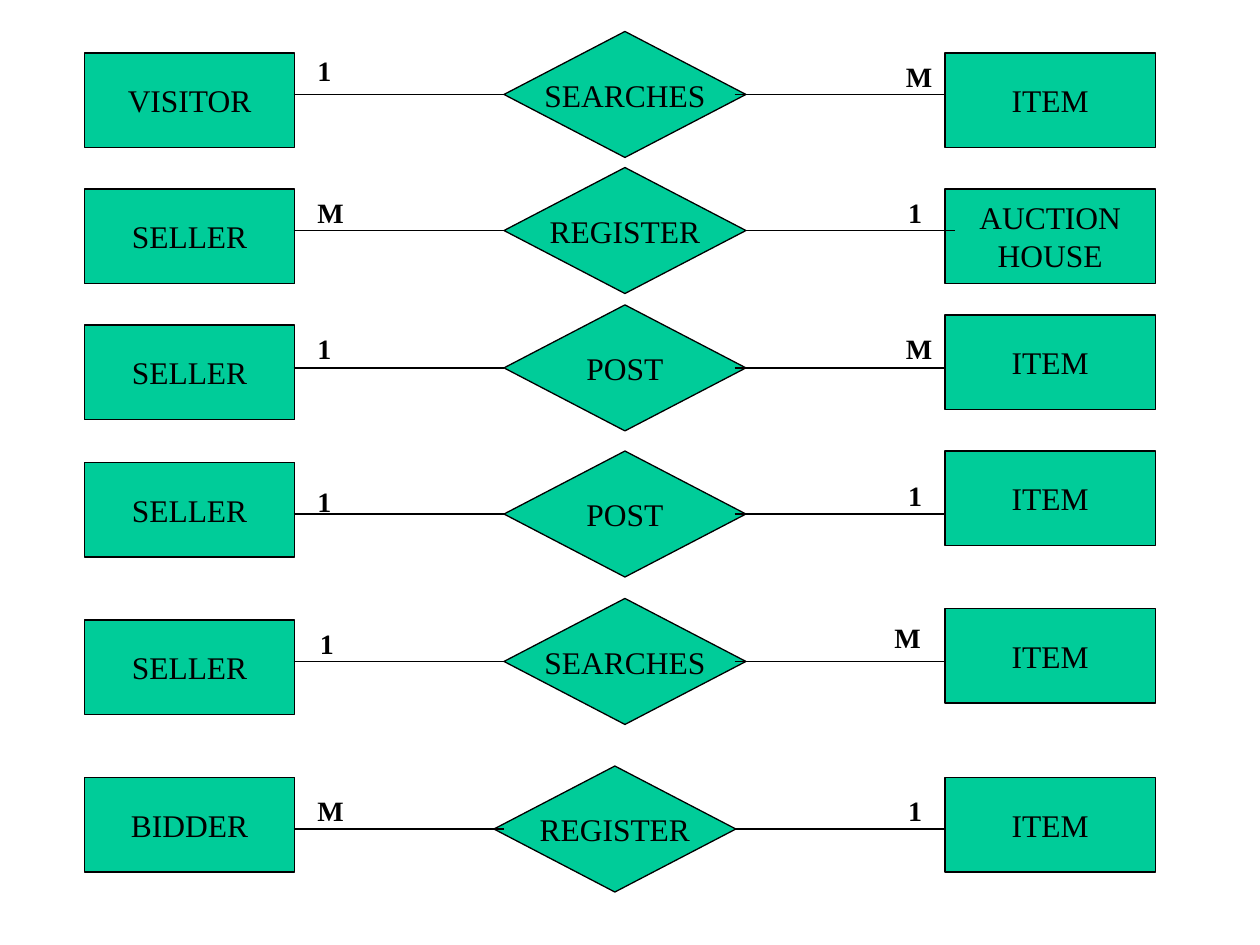
from typing import NamedTuple

import pptx
import pptx.dml.color
import pptx.enum.shapes
import pptx.enum.text
import pptx.oxml.ns
import pptx.util
from lxml import etree

Inches = pptx.util.Inches
Pt = pptx.util.Pt
Shape = pptx.enum.shapes.MSO_SHAPE
Align = pptx.enum.text.PP_ALIGN

GREEN = pptx.dml.color.RGBColor(0x00, 0xCC, 0x99)
BLACK = pptx.dml.color.RGBColor(0x00, 0x00, 0x00)

ENTITY_WIDTH, ENTITY_HEIGHT = 1.67, 0.75
DIAMOND_WIDTH, DIAMOND_HEIGHT = 1.92, 1
LEFT_ENTITY_X, RIGHT_ENTITY_X = 0.67, 7.5
DIAMOND_X = 4
LEFT_LINE = (2.33, 4)
RIGHT_LINE = (5.83, 7.5)
LABEL_HEIGHT = 0.37
LABEL_WIDTHS = {"1": 0.31, "M": 0.41}

ENTITY_FONT = {"name": "Times New Roman", "size": Pt(18), "bold": False}
LABEL_FONT = {"name": "Times New Roman", "size": Pt(16), "bold": True}
FRAME_FORMAT = {
    "word_wrap": False,
    "margin_left": Inches(0.1),
    "margin_right": Inches(0.1),
    "margin_top": Inches(0.05),
    "margin_bottom": Inches(0.05),
}


class Entity(NamedTuple):
    name: str
    top: float


class Label(NamedTuple):
    text: str
    left: float
    top: float


class Relation(NamedTuple):
    verb: str
    top: float
    source: Entity
    target: Entity
    source_label: Label
    target_label: Label
    diamond_x: float = DIAMOND_X
    right_line: tuple = RIGHT_LINE


RELATIONS = [
    Relation("SEARCHES", 0.25, Entity("VISITOR", 0.42), Entity("ITEM", 0.42),
             Label("1", 2.42, 0.38), Label("M", 7.09, 0.42)),
    Relation("REGISTER", 1.33, Entity("SELLER", 1.5), Entity("AUCTION\nHOUSE", 1.5),
             Label("M", 2.42, 1.5), Label("1", 7.11, 1.5), right_line=(5.92, 7.58)),
    Relation("POST", 2.42, Entity("SELLER", 2.58), Entity("ITEM", 2.5),
             Label("1", 2.42, 2.58), Label("M", 7.09, 2.58)),
    Relation("POST", 3.58, Entity("SELLER", 3.67), Entity("ITEM", 3.58),
             Label("1", 2.42, 3.8), Label("1", 7.11, 3.75)),
    Relation("SEARCHES", 4.75, Entity("SELLER", 4.92), Entity("ITEM", 4.83),
             Label("1", 2.44, 4.92), Label("M", 7, 4.88)),
    Relation("REGISTER", 6.08, Entity("BIDDER", 6.17), Entity("ITEM", 6.17),
             Label("M", 2.42, 6.25), Label("1", 7.11, 6.25), diamond_x=3.92),
]


def apply_format(target, values):
    for name, value in values.items():
        setattr(target, name, value)


def write_text(frame, text, font, alignment, anchor):
    apply_format(frame, FRAME_FORMAT)
    frame.vertical_anchor = anchor
    frame.text = text
    for para in frame.paragraphs:
        para.alignment = alignment
        for span in para.runs:
            apply_format(span.font, font)
            span.font.color.rgb = BLACK


def add_node(page, kind, text, left, top, width, height):
    """Add a green, outlined entity or relationship with centred text."""
    node = page.shapes.add_shape(
        kind, Inches(left), Inches(top), Inches(width), Inches(height))
    node.shadow.inherit = False
    node.fill.solid()
    node.fill.fore_color.rgb = GREEN
    node.line.color.rgb = BLACK
    node.line.width = Pt(0.75)
    write_text(node.text_frame, text, ENTITY_FONT, Align.CENTER,
               pptx.enum.text.MSO_ANCHOR.MIDDLE)
    return node


def add_entity(page, entity, left):
    add_node(page, Shape.FLOWCHART_PROCESS, entity.name, left, entity.top,
             ENTITY_WIDTH, ENTITY_HEIGHT)


def add_line(page, start, end, y):
    line = page.shapes.add_connector(
        pptx.enum.shapes.MSO_CONNECTOR.STRAIGHT,
        Inches(start), Inches(y), Inches(end), Inches(y))
    line.line.color.rgb = BLACK
    line.line.width = Pt(0.75)
    etree.SubElement(line._element.spPr, pptx.oxml.ns.qn("a:effectLst"))
    return line


def add_label(page, label):
    box = page.shapes.add_textbox(
        Inches(label.left), Inches(label.top),
        Inches(LABEL_WIDTHS[label.text]), Inches(LABEL_HEIGHT))
    write_text(box.text_frame, label.text, LABEL_FONT, Align.LEFT,
               pptx.enum.text.MSO_ANCHOR.TOP)
    box.text_frame.auto_size = pptx.enum.text.MSO_AUTO_SIZE.SHAPE_TO_FIT_TEXT


def add_relation(page, relation):
    add_entity(page, relation.source, LEFT_ENTITY_X)
    add_entity(page, relation.target, RIGHT_ENTITY_X)
    diamond = add_node(page, Shape.FLOWCHART_DECISION, relation.verb,
                       relation.diamond_x, relation.top,
                       DIAMOND_WIDTH, DIAMOND_HEIGHT)

    middle = relation.top + DIAMOND_HEIGHT / 2
    left_line = add_line(page, *LEFT_LINE, middle)
    right_line = add_line(page, *relation.right_line, middle)
    if LEFT_LINE[1] == relation.diamond_x:
        left_line.end_connect(diamond, 1)
    if abs(relation.right_line[0] - relation.diamond_x - DIAMOND_WIDTH) < 0.02:
        right_line.begin_connect(diamond, 3)

    add_label(page, relation.source_label)
    add_label(page, relation.target_label)


def main():
    deck = pptx.Presentation()
    deck.slide_width = Inches(10)
    deck.slide_height = Inches(7.5)
    page = deck.slides.add_slide(deck.slide_layouts[6])
    for relation in RELATIONS:
        add_relation(page, relation)
    deck.save("out.pptx")


if __name__ == "__main__":
    main()
